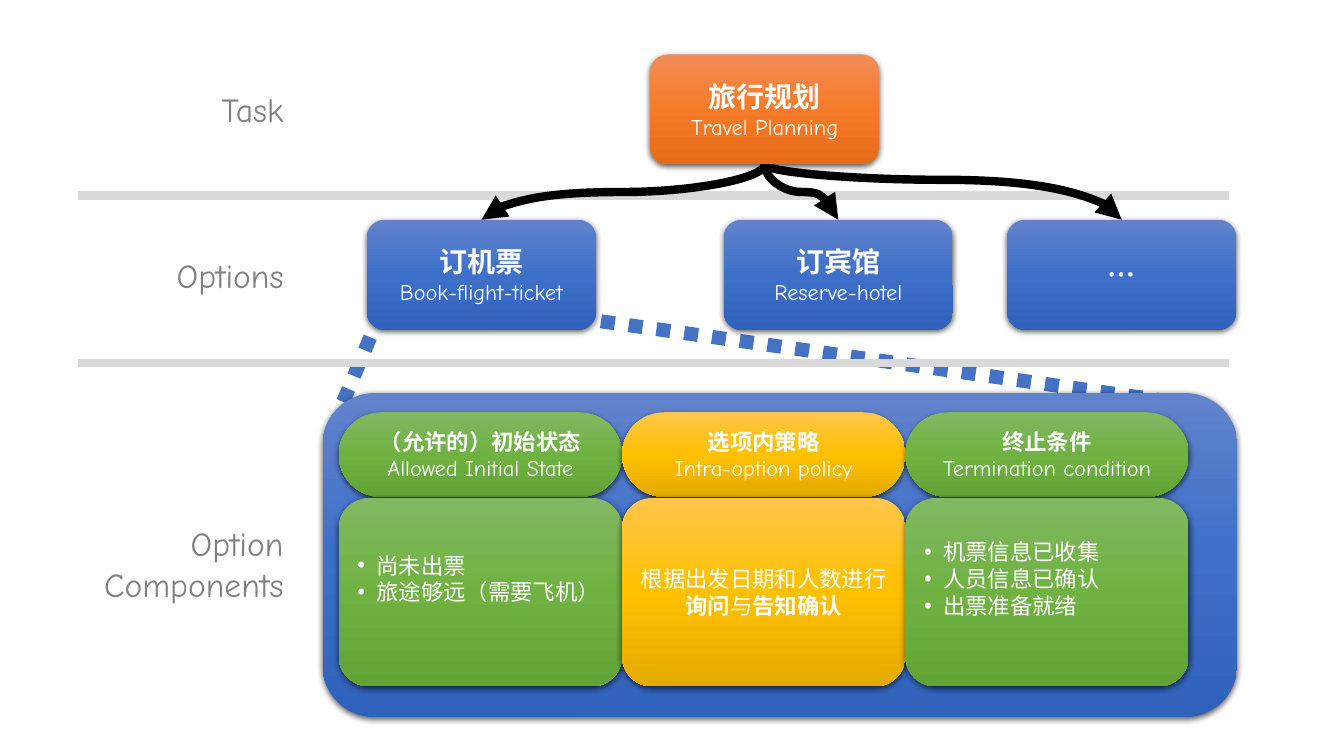
import copy
import lxml.etree
import pptx
import pptx.dml.color
import pptx.enum.dml
import pptx.enum.shapes
import pptx.enum.text
import pptx.oxml.ns
import pptx.util

Inches, Pt, qn = pptx.util.Inches, pptx.util.Pt, pptx.oxml.ns.qn
RGB = pptx.dml.color.RGBColor
ALIGN = pptx.enum.text.PP_ALIGN
KIND = pptx.enum.shapes.MSO_CONNECTOR

WHITE, BLACK = RGB(255, 255, 255), RGB(0, 0, 0)
GREY, PALE = RGB(0x80, 0x80, 0x80), RGB(0xD9, 0xD9, 0xD9)
DOTS = RGB(0x44, 0x72, 0xC4)
BLUE = RGB(0x61, 0x83, 0xCB), RGB(0x3E, 0x70, 0xCA), RGB(0x30, 0x62, 0xBB)
GREEN = RGB(0x81, 0xB8, 0x61), RGB(0x6F, 0xB2, 0x42), RGB(0x62, 0xA3, 0x36)
GOLD = RGB(0xFF, 0xC6, 0x4B), RGB(0xFF, 0xC0, 0x00), RGB(0xE3, 0xAB, 0x00)
ORANGE = RGB(0xF1, 0x8C, 0x57), RGB(0xF6, 0x7B, 0x28), RGB(0xE5, 0x6C, 0x19)
LATIN, HAN = "Comic Neue", "Noto Sans CJK SC"

# Content: a line is a list of (text, bold) runs
LABELS = [(["Task"], 0.83, 0.5), (["Options"], 2.48, 0.5),
          (["Option", "Components"], 5.14, 0.91)]
TASK = ("旅行规划", "Travel Planning")
OPTIONS = [  # left, bend of the arrow, names
    (3.64, 0.5, ("订机票", "Book-flight-ticket")),
    (7.18, 0.5, ("订宾馆", "Reserve-hotel")),
    (9.99, 0.28, ("…",)),
]
PARTS = [  # colour, names, body lines, bulleted
    (GREEN, ("（允许的）初始状态", "Allowed Initial State"),
     [[("尚未出票", False)], [("旅途够远（需要飞机）", False)]], True),
    (GOLD, ("选项内策略", "Intra-option policy"),
     [[("根据出发日期和人数进行", False), ("询问", True), ("与", False),
       ("告知确认", True)]], False),
    (GREEN, ("终止条件", "Termination condition"),
     [[("机票信息已收集", False)], [("人员信息已确认", False)],
      [("出票准备就绪", False)]], True),
]

# Layout
BOX_W, BOX_H = 2.27, 1.09
TASK_X, TASK_Y, OPT_Y = 6.45, 0.54, 2.18
PART_X, PART_W = 3.36, 2.81
PILL_Y, PILL_H, BODY_Y, BODY_H = 4.09, 0.84, 4.94, 1.87
RULES = [1.94, 3.6]
ZOOM = [(3.78, 3.09, 3.36, 4.09), (5.41, 3.11, 11.79, 4.01)]

deck = pptx.Presentation()
deck.slide_width, deck.slide_height = Inches(13.33), Inches(7.5)
slide = deck.slides.add_slide(deck.slide_layouts[6])


def add(parent, tag, **attrs):
    return lxml.etree.SubElement(parent, qn(tag), attrs)


def write(frame, lines, sizes=(16,), color=WHITE, align=ALIGN.CENTER, bullet=False):
    """Fill a frame; the last size serves all further lines."""
    frame.word_wrap = True
    for i, line in enumerate(lines):
        para = frame.paragraphs[0] if i == 0 else frame.add_paragraph()
        para.alignment = align
        for text, bold in line:
            run = para.add_run()
            run.text = text
            font = run.font
            font.size, font.bold = Pt(sizes[min(i, len(sizes) - 1)]), bold
            font.color.rgb = color
            font.name = LATIN if text.isascii() else HAN
            add(font._element, "a:ea", typeface=font.name)
        if bullet:
            props = para._p.get_or_add_pPr()
            props.set("marL", str(Inches(0.19)))
            props.set("indent", str(-Inches(0.19)))
            add(props, "a:buFont", typeface="Arial")
            add(props, "a:buChar", char="•")


def pair(names):
    """First name bold, second one plain."""
    return [[(name, i == 0)] for i, name in enumerate(names)]


def card(x, y, w, h, colors, round=0.16):
    shape = slide.shapes.add_shape(pptx.enum.shapes.MSO_SHAPE.ROUNDED_RECTANGLE,
                                   Inches(x), Inches(y), Inches(w), Inches(h))
    shape.adjustments[0] = round
    shape.line.fill.background()
    shape.fill.gradient()
    shape.fill.gradient_angle = 270
    props = shape._element.spPr
    stops = props.find(".//" + qn("a:gsLst"))
    stops.append(copy.deepcopy(stops[0]))
    for i, stop in enumerate(shape.fill.gradient_stops):
        stop.position, stop.color.rgb = i / 2, colors[i]
    # Soft shadow below
    shape.shadow.inherit = False
    glow = add(props.find(qn("a:effectLst")), "a:outerShdw", blurRad=str(Pt(4.5)),
               dist=str(Pt(1.5)), dir="5400000", algn="ctr", rotWithShape="0")
    add(add(glow, "a:srgbClr", val="000000"), "a:alpha", val="63000")
    frame = shape.text_frame
    frame.vertical_anchor = pptx.enum.text.MSO_ANCHOR.MIDDLE
    return frame


def link(x1, y1, x2, y2, color, width, kind=KIND.STRAIGHT):
    line = slide.shapes.add_connector(kind, *map(Inches, (x1, y1, x2, y2)))
    line.line.color.rgb, line.line.width = color, Pt(width)
    add(line._element.spPr, "a:effectLst")
    return line


def arrow(x1, y1, x2, y2, bend):
    """Curve that leaves and arrives vertically: a turned horizontal one."""
    wide, high = abs(x2 - x1), y2 - y1
    x, y = (x1 + x2 - high) / 2, (y1 + y2 - wide) / 2
    line = link(x, y, x + high, y + wide, BLACK, 6, KIND.CURVE)
    line.rotation = 90 if x2 < x1 else 270
    props = line._element.spPr
    if x2 > x1:
        props.find(qn("a:xfrm")).set("flipH", "1")
    shape = props.find(qn("a:prstGeom"))
    for old in list(shape):
        shape.remove(old)
    add(add(shape, "a:avLst"), "a:gd", name="adj1", fmla=f"val {round(bend * 100000)}")
    add(props.find(qn("a:ln")), "a:tailEnd", type="triangle")


# Dotted zoom lines, then the panel over their ends
for ends in ZOOM:
    link(*ends, DOTS, 10).line.dash_style = pptx.enum.dml.MSO_LINE.ROUND_DOT
card(3.2, 3.9, 9.07, 3.21, BLUE)

# Rules between the levels, and level names
for y in RULES:
    link(0.77, y, 12.19, y, PALE, 6)
for lines, y, h in LABELS:
    box = slide.shapes.add_textbox(Inches(0.85), Inches(y), Inches(2.06), Inches(h))
    write(box.text_frame, [[(line, False)] for line in lines], sizes=(24,),
          color=GREY, align=ALIGN.RIGHT)

# Options, with arrows from the task
for x, bend, names in OPTIONS:
    write(card(x, OPT_Y, BOX_W, BOX_H, BLUE), pair(names), sizes=(20, 16))
for x, bend, names in OPTIONS:
    arrow(TASK_X + BOX_W / 2, TASK_Y + BOX_H, x + BOX_W / 2, OPT_Y, bend)
write(card(TASK_X, TASK_Y, BOX_W, BOX_H, ORANGE), pair(TASK), sizes=(20, 16))

# Option components: heading pill above its body
for i, (colors, names, lines, bullet) in enumerate(PARTS):
    x = PART_X + i * PART_W
    write(card(x, PILL_Y, PART_W, PILL_H, colors, round=0.5), pair(names))
    frame = card(x, BODY_Y, PART_W, BODY_H, colors)
    if bullet:
        frame.margin_bottom = Inches(0.32)
    else:
        frame.margin_left = frame.margin_right = Inches(0.05)
    write(frame, lines, align=ALIGN.LEFT if bullet else ALIGN.CENTER, bullet=bullet)

deck.save("out.pptx")
